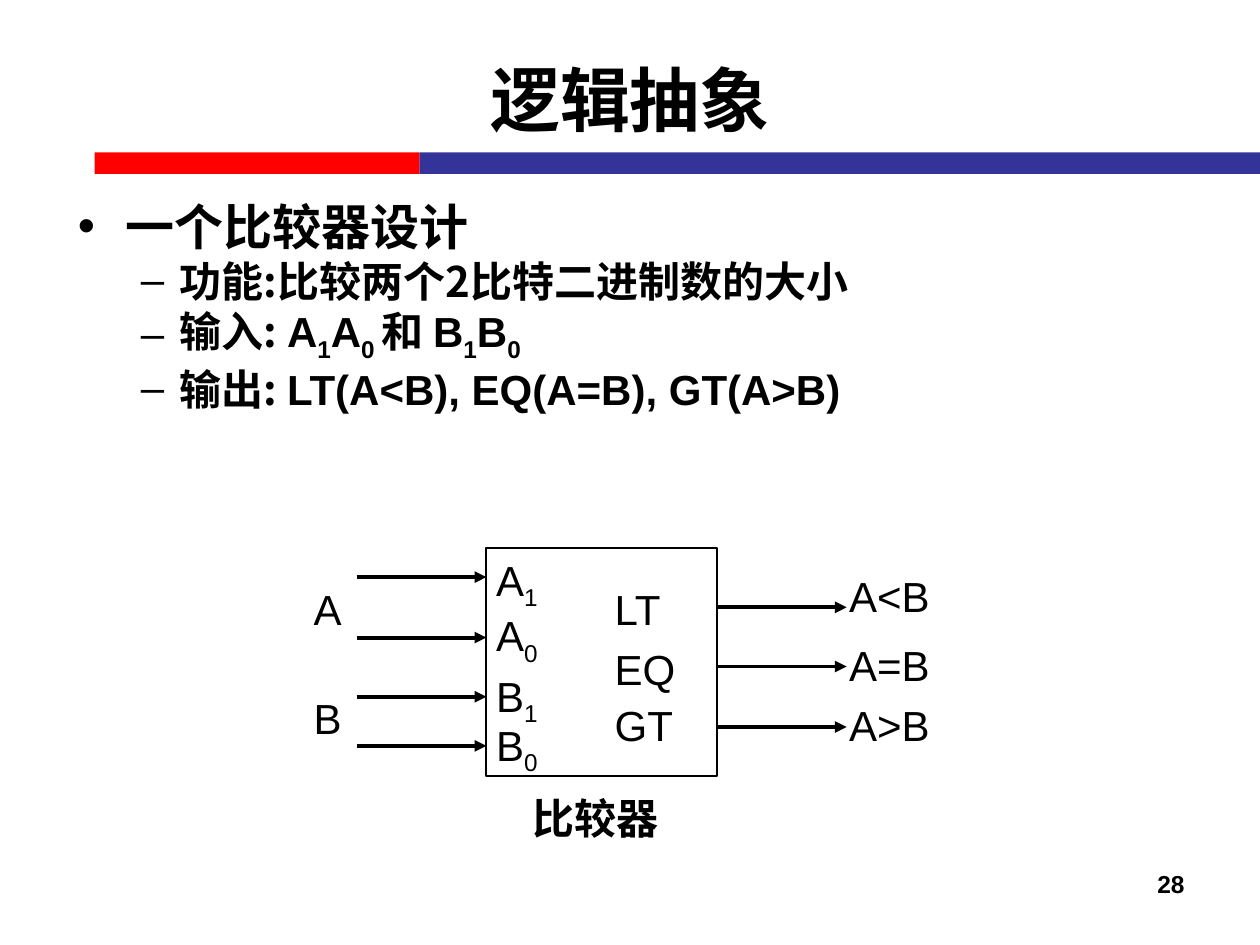
from dataclasses import dataclass

from lxml import etree
from pptx import Presentation
from pptx import util as u
from pptx.dml.color import RGBColor
from pptx.enum import shapes, text
from pptx.oxml import ns

HUES = {"ink": "000000", "red": "FF0000", "blue": "333399"}
LATIN, HAN = "Arial", "Noto Sans CJK SC"
LEFT, MID, RIGHT = text.PP_ALIGN.LEFT, text.PP_ALIGN.CENTER, text.PP_ALIGN.RIGHT


@dataclass
class Run:
    text: str
    font: str = LATIN
    sub: bool = False


@dataclass
class Label:
    runs: list[Run]
    x: float
    y: float
    w: float
    h: float = 0.5
    size: int = 24
    bold: bool = False
    align: text.PP_ALIGN = LEFT


@dataclass
class Item:
    runs: list[Run]
    size: int = 24
    mark: str = "–"
    left: float = 0.81
    hang: float = 0.31


def color(name: str) -> RGBColor:
    return RGBColor.from_string(HUES[name])


def node(base, tag: str, **attrs: str):
    return etree.SubElement(base, ns.qn(tag), attrs)


def write(para, runs: list[Run], size: int, bold: bool) -> None:
    for part in runs:
        run = para.add_run()
        run.text = part.text
        font = run.font
        font.size, font.bold, font.name = u.Pt(size), bold, part.font
        font.color.rgb = color("ink")
        props = run._r.get_or_add_rPr()
        node(props, "a:ea", typeface=HAN)
        if part.sub:
            props.set("baseline", "-25000")


def frame(slide, x: float, y: float, w: float, h: float):
    box = slide.shapes.add_textbox(u.Inches(x), u.Inches(y), u.Inches(w), u.Inches(h))
    box.text_frame.word_wrap = True
    return box.text_frame


def label(slide, item: Label) -> None:
    body = frame(slide, item.x, item.y, item.w, item.h)
    para = body.paragraphs[0]
    para.alignment = item.align
    write(para, item.runs, item.size, item.bold)


def bullets(slide, items: list[Item]) -> None:
    body = frame(slide, 0.52, 1.51, 9, 5.59)
    for i, item in enumerate(items):
        para = body.add_paragraph() if i else body.paragraphs[0]
        props = para._p.get_or_add_pPr()
        props.set("marL", str(u.Inches(item.left)))
        props.set("indent", str(-u.Inches(item.hang)))
        node(props, "a:buFont", typeface=LATIN)
        node(props, "a:buChar", char=item.mark)
        write(para, item.runs, item.size, True)


def block(slide, x: float, y: float, w: float, h: float, fill: str = "") -> None:
    rect = slide.shapes.add_shape(shapes.MSO_SHAPE.RECTANGLE, u.Inches(x), u.Inches(y),
                                  u.Inches(w), u.Inches(h))
    rect.shadow.inherit = False
    if fill:
        rect.fill.solid()
        rect.fill.fore_color.rgb = color(fill)
        rect.line.fill.background()
    else:
        rect.fill.background()
        rect.line.color.rgb = color("ink")
        rect.line.width = u.Pt(1)


def arrow(slide, x: float, y: float) -> None:
    line = slide.shapes.add_connector(shapes.MSO_CONNECTOR.STRAIGHT, u.Inches(x), u.Inches(y),
                                      u.Inches(x + 1.03), u.Inches(y))
    line.line.color.rgb = color("ink")
    line.line.width = u.Pt(2.25)
    node(line.line._get_or_add_ln(), "a:tailEnd", type="triangle")
    node(line._element.spPr, "a:effectLst")


def pin(name: str, bit: str) -> list[Run]:
    return [Run(name), Run(bit, sub=True)]


def main() -> None:
    deck = Presentation()
    deck.slide_width, deck.slide_height = u.Inches(10), u.Inches(7.5)
    slide = deck.slides.add_slide(deck.slide_layouts[6])

    # Title and two-colour rule
    block(slide, 0.75, 1.21, 2.58, 0.17, "red")
    block(slide, 3.33, 1.21, 6.67, 0.17, "blue")
    label(slide, Label([Run("逻辑抽象")], 0.5, 0.4, 9, 0.75, 40, True, MID))

    # Design brief
    bullets(slide, [
        Item([Run("一个比较器设计", HAN)], 28, "•", 0.38, 0.38),
        Item([Run("功能:比较两个2比特二进制数的大小", HAN)]),
        Item([Run("输入: ", HAN), *pin("A", "1"), *pin("A", "0 "), Run("和 ", HAN),
              *pin("B", "1"), *pin("B", "0")]),
        Item([Run("输出: ", HAN), Run("LT(A<B), EQ(A=B), GT(A>B)")]),
    ])

    # Comparator body and its caption
    block(slide, 3.86, 4.35, 1.83, 1.81)
    label(slide, Label([Run("比较器")], 4.13, 6.24, 2.33, bold=True))

    # Inputs: pin label and arrow
    for name, bit, y, tip in [("A", "1", 4.35, 4.58), ("A", "0", 4.79, 5.06),
                              ("B", "1", 5.27, 5.53), ("B", "0", 5.66, 5.92)]:
        label(slide, Label(pin(name, bit), 3.84, y, 1.03))
        arrow(slide, 2.83, tip)
    for name, y in [("A", 4.58), ("B", 5.45)]:
        label(slide, Label([Run(name)], 2.39, y, 0.66))

    # Outputs: pin label, arrow and meaning
    for name, y, tip, sense, top in [("LT", 4.58, 4.82, "A<B", 4.48),
                                     ("EQ", 5.06, 5.29, "A=B", 5.03),
                                     ("GT", 5.5, 5.77, "A>B", 5.5)]:
        label(slide, Label([Run(name)], 4.78, y, 1.03))
        arrow(slide, 5.69, tip)
        label(slide, Label([Run(sense)], 6.64, top, 1.09))

    # Page number
    label(slide, Label([Run("28")], 7.17, 6.85, 2.33, size=14, bold=True, align=RIGHT))
    deck.save("out.pptx")


if __name__ == "__main__":
    main()
